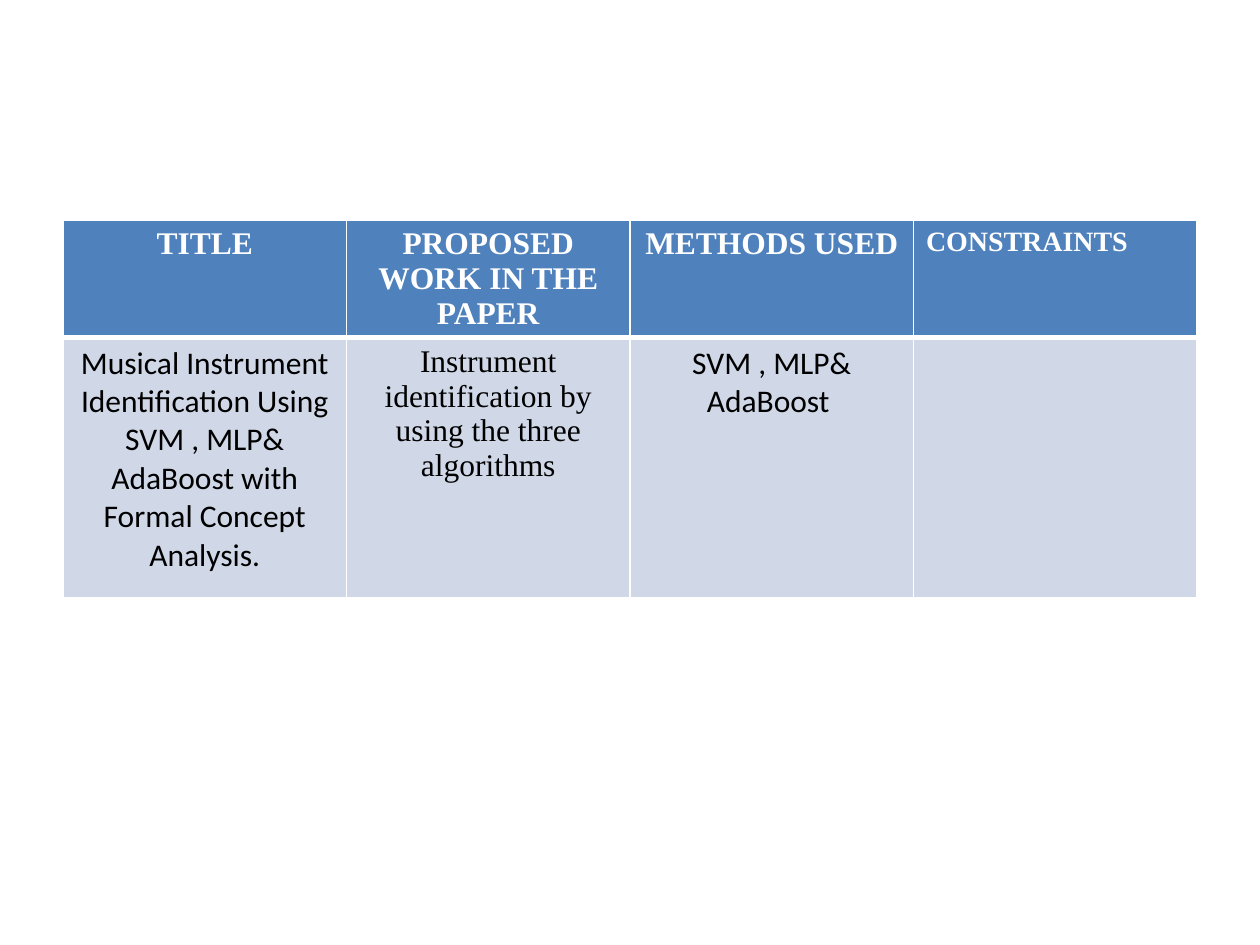
from lxml import etree
from pptx import Presentation
from pptx.dml.color import RGBColor
from pptx.enum.text import PP_ALIGN
from pptx.oxml.ns import qn
from pptx.util import Pt

LEFT, CENTER = PP_ALIGN.LEFT, PP_ALIGN.CENTER
WHITE = RGBColor(0xFF, 0xFF, 0xFF)
BLACK = RGBColor(0, 0, 0)
BLUE = RGBColor(0x4F, 0x81, 0xBD)
PALE_BLUE = RGBColor(0xD0, 0xD8, 0xE8)
SERIF, SANS = "Times New Roman", "Calibri"

# Content: text, font, size, alignment
HEADER = [
    ("TITLE", SERIF, 18, CENTER),
    ("PROPOSED WORK IN THE PAPER", SERIF, 18, CENTER),
    ("METHODS USED", SERIF, 18, CENTER),
    ("CONSTRAINTS", SERIF, 16, LEFT),
]
PAPER = [
    ("Musical Instrument Identification Using SVM , MLP& AdaBoost "
     "with Formal Concept Analysis.", SANS, 18, CENTER),
    ("Instrument identification by using the three algorithms", SERIF, 18, CENTER),
    ("SVM , MLP& AdaBoost ", SANS, 18, CENTER),
    ("", SANS, 18, LEFT),
]
# Rows: cells, height, fill, text colour, bold, top and bottom border widths
ROWS = [
    (HEADER, 66, BLUE, WHITE, True, 1, 3),
    (PAPER, 148.5, PALE_BLUE, BLACK, False, 3, 1),
]
LEFT_EDGE, TOP_EDGE, COL_WIDTH = 36, 126, 162


def set_borders(cell, top, bottom):
    tcPr = cell._tc.get_or_add_tcPr()
    widths = {"a:lnL": 1, "a:lnR": 1, "a:lnT": top, "a:lnB": bottom}
    for i, (tag, width) in enumerate(widths.items()):
        ln = etree.Element(qn(tag), w=str(Pt(width)))
        fill = etree.SubElement(ln, qn("a:solidFill"))
        etree.SubElement(fill, qn("a:srgbClr"), val=str(WHITE))
        tcPr.insert(i, ln)


prs = Presentation()
prs.slide_width, prs.slide_height = Pt(720), Pt(540)
s = prs.slides.add_slide(prs.slide_layouts[6])

# Table
table = s.shapes.add_table(
    len(ROWS), len(HEADER), Pt(LEFT_EDGE), Pt(TOP_EDGE),
    Pt(COL_WIDTH * len(HEADER)), Pt(sum(row[1] for row in ROWS))).table
for col in table.columns:
    col.width = Pt(COL_WIDTH)

# Cells
for r, (cells, height, fill, color, bold, top, bottom) in enumerate(ROWS):
    table.rows[r].height = Pt(height)
    for c, (text, font, size, align) in enumerate(cells):
        cell = table.cell(r, c)
        cell.fill.solid()
        cell.fill.fore_color.rgb = fill
        set_borders(cell, top, bottom)
        p = cell.text_frame.paragraphs[0]
        p.text = text
        p.alignment = align
        for run in p.runs:
            run.font.name = font
            run.font.size = Pt(size)
            run.font.bold = bold
            run.font.color.rgb = color

prs.save("out.pptx")
